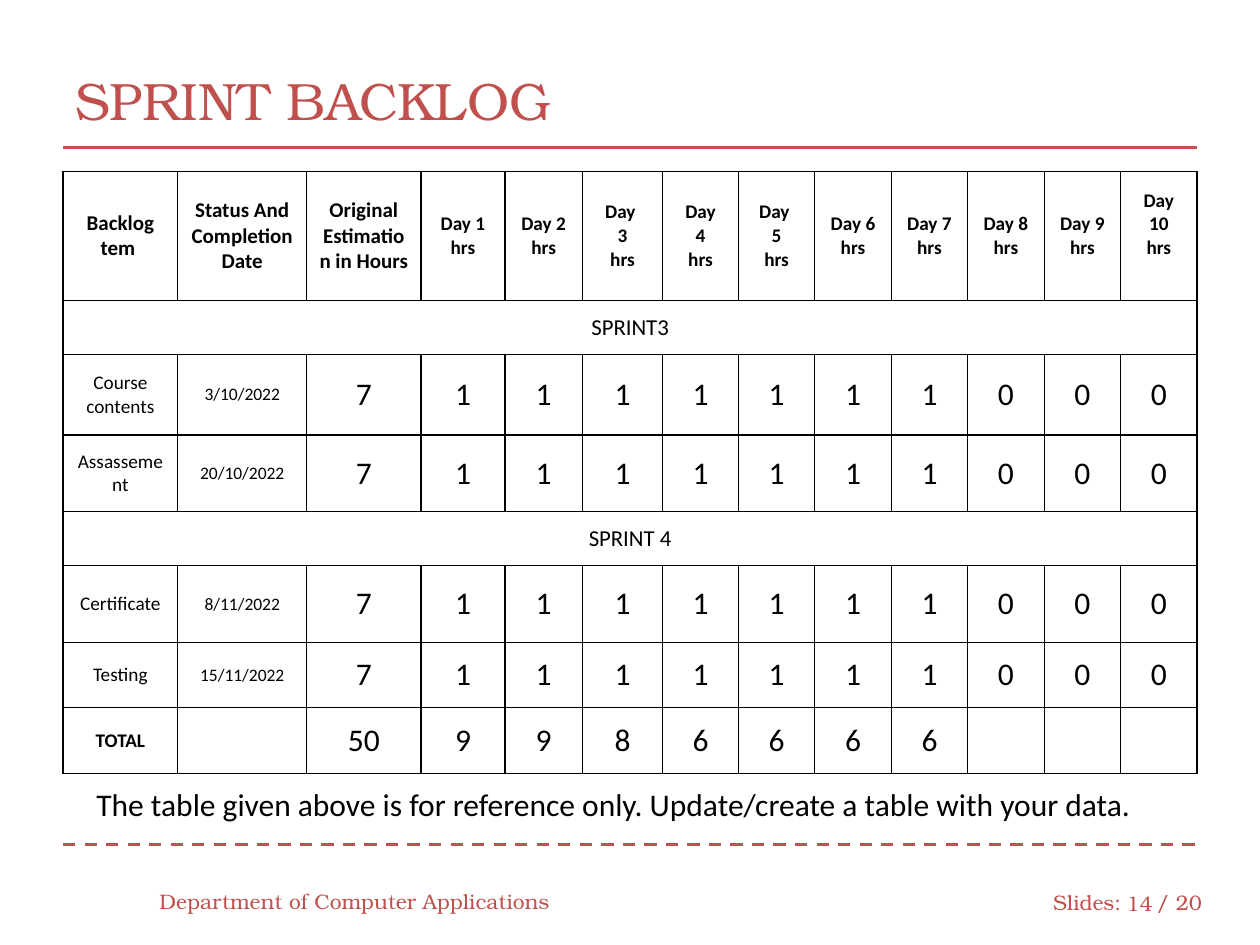
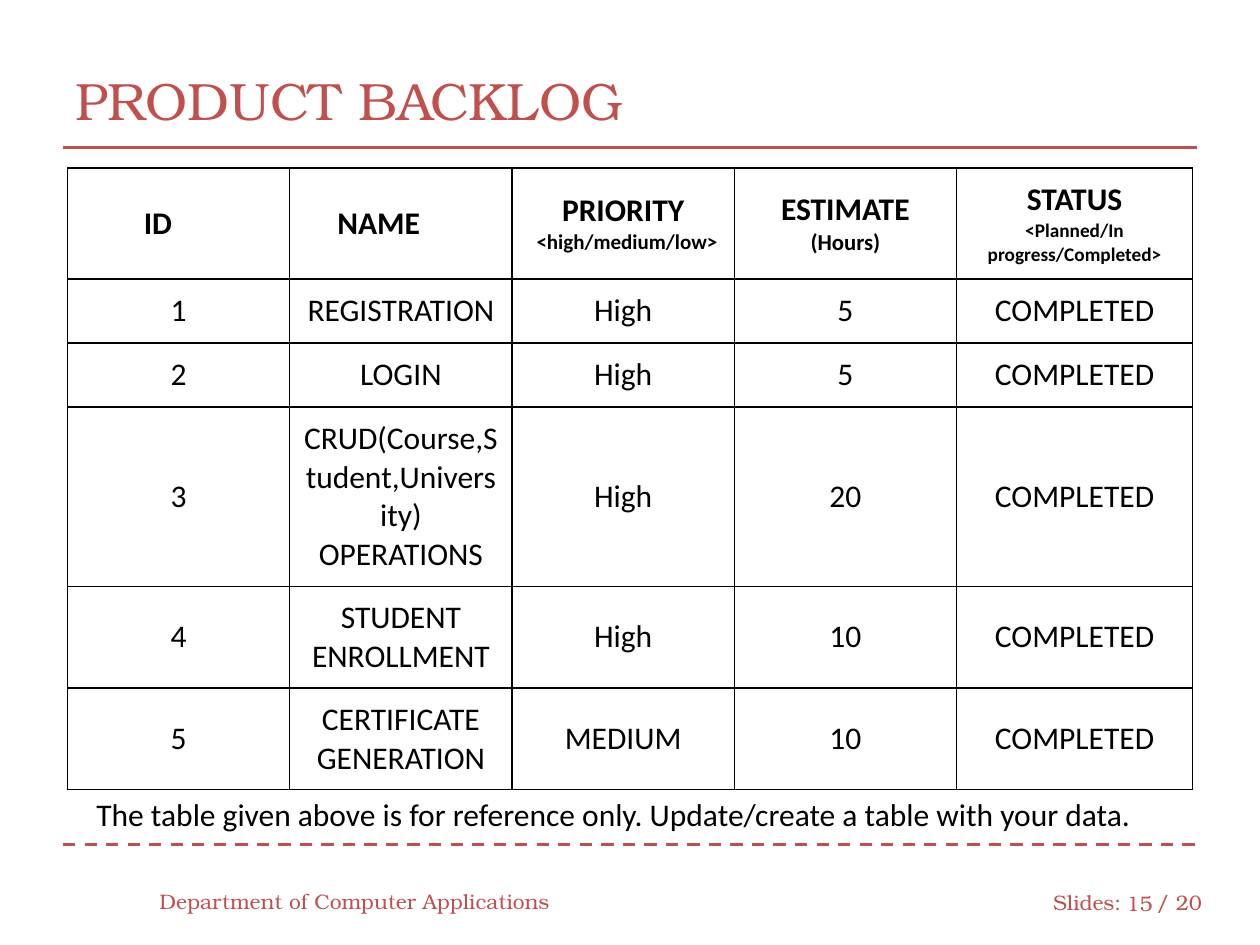
from itertools import accumulate, zip_longest

from lxml.etree import SubElement
from pptx import Presentation
from pptx.dml.color import RGBColor
from pptx.enum.dml import MSO_LINE
from pptx.enum.shapes import MSO_CONNECTOR
from pptx.enum.text import MSO_ANCHOR, PP_ALIGN
from pptx.oxml import parse_xml
from pptx.oxml.ns import nsdecls, qn
from pptx.util import Pt

RED = RGBColor(0xC0, 0x50, 0x4D)
BLACK = RGBColor(0, 0, 0)
WHITE = RGBColor(0xFF, 0xFF, 0xFF)
HEADING_FONT = "TeX Gyre Bonum"
BODY_FONT = "Calibri"

LEFT, RIGHT = 36, 684
TITLE_RULE_Y, FOOTER_RULE_Y = 84.24, 482.4
CELL_MARGIN = 7.2
HEADER_LINE = 13.4

DEPARTMENT = "Department of Computer Applications"
TOTAL_SLIDES = 20
NOTE = ("The table given above is for reference only. "
        "Update/create a table with your data.")

SPRINT_HEADERS = [
    "Backlog tem ", "Status And Completion Date", "Original Estimation in Hours ",
    "Day 1\nhrs", "Day 2\nhrs", "Day \n3\nhrs", "Day\n4\nhrs", "Day \n5\nhrs",
    "Day 6\nhrs", "Day 7\nhrs", "Day 8\nhrs", "Day 9\nhrs", "Day 10\nhrs",
]
DAILY_HOURS = ["7"] + ["1"] * 7 + ["0"] * 3
SPRINT_ROWS = [
    ["SPRINT3"],
    ["Course contents", "3/10/2022", *DAILY_HOURS],
    ["Assassement", "20/10/2022", *DAILY_HOURS],
    ["SPRINT 4"],
    ["Certificate", "8/11/2022", *DAILY_HOURS],
    ["Testing", "15/11/2022", *DAILY_HOURS],
    ["TOTAL", "", "50", "9", "9", "8", "6", "6", "6", "6", "", "", ""],
]
SPRINT_COLUMNS = [65.6, 73.6, 65.4, 48, 44.2, 46, 43.2] + [43.7] * 6
SPRINT_HEIGHTS = [74, 30.8, 46, 43.8, 31, 43.8, 37.4, 37.4]

# text, size of each line, left indent of each line (None is centred)
PRODUCT_HEADERS = [
    ("ID", [18], [36.4]),
    ("NAME", [18], [20]),
    ("PRIORITY\n<high/medium/low>", [18, 12], [None, 6.8]),
    ("ESTIMATE\n(Hours)", [18, 13], [None]),
    ("STATUS\n<Planned/In progress/Completed>", [18, 11], [None]),
]
PRODUCT_ROWS = [
    ["1", "REGISTRATION", "High", "5", "COMPLETED"],
    ["2", "LOGIN", "High", "5", "COMPLETED"],
    ["3", "CRUD(Course,Student,University)\nOPERATIONS", "High", "20", "COMPLETED"],
    ["4", "STUDENT ENROLLMENT", "High", "10", "COMPLETED"],
    ["5", "CERTIFICATE GENERATION", "MEDIUM", "10", "COMPLETED"],
]
PRODUCT_COLUMNS = [127] * 4 + [135]
PRODUCT_HEIGHTS = [63.4, 36.6, 36.6, 102.4, 58.2, 58.2]


def write_text(frame, text, sizes=(18,), font=BODY_FONT, color=BLACK, bold=False,
               align=PP_ALIGN.LEFT, indents=()):
    """Write one paragraph per line; the last size serves all later lines."""
    lines = text.split("\n")
    for index, (line, indent) in enumerate(zip_longest(lines, indents)):
        paragraph = frame.paragraphs[0] if index == 0 else frame.add_paragraph()
        paragraph.alignment = align
        if indent is not None:
            paragraph.alignment = PP_ALIGN.LEFT
            properties = paragraph._p.get_or_add_pPr()
            properties.set("marL", str(Pt(indent)))
            properties.set("indent", "0")
        run = paragraph.add_run()
        run.text = line
        run.font.name = font
        run.font.size = Pt(sizes[min(index, len(sizes) - 1)])
        run.font.bold = bold
        run.font.color.rgb = color


def add_text(slide, box, text, anchor=MSO_ANCHOR.MIDDLE, **text_format):
    frame = slide.shapes.add_textbox(*map(Pt, box)).text_frame
    frame.word_wrap = True
    frame.vertical_anchor = anchor
    write_text(frame, text, **text_format)


def add_rule(slide, y, dash=None):
    rule = slide.shapes.add_connector(
        MSO_CONNECTOR.STRAIGHT, Pt(LEFT), Pt(y), Pt(RIGHT), Pt(y))
    rule.line.color.rgb = RED
    rule.line.width = Pt(1.75)
    if dash:
        rule.line.dash_style = dash
    SubElement(rule._element.spPr, qn("a:effectLst"))


def add_base_slide(presentation, title, number, note_top):
    slide = presentation.slides.add_slide(presentation.slide_layouts[6])
    heading = {"font": HEADING_FONT, "color": RED}
    footer = {**heading, "sizes": [12]}
    add_rule(slide, TITLE_RULE_Y)
    add_rule(slide, FOOTER_RULE_Y, MSO_LINE.DASH)
    add_text(slide, (LEFT, 24, 648, 66), title, sizes=[30], **heading)
    add_text(slide, (84, 500.4, 240, 28.8), DEPARTMENT, **footer)
    add_text(slide, (594.7, 501.1, 54, 28.8), "Slides:", **footer)
    add_text(slide, (635.8, 501.8, 30, 28.8), str(number),
             align=PP_ALIGN.RIGHT, **footer)
    add_text(slide, (653.8, 501.1, 42, 28.8), f"/ {TOTAL_SLIDES}", **footer)
    add_text(slide, (48, note_top, 618, 28.8), NOTE, anchor=MSO_ANCHOR.TOP)
    return slide


def style_cell(cell):
    cell.fill.solid()
    cell.fill.fore_color.rgb = WHITE
    cell.vertical_anchor = MSO_ANCHOR.MIDDLE
    cell.margin_left = cell.margin_right = Pt(CELL_MARGIN)
    cell.margin_top = cell.margin_bottom = Pt(CELL_MARGIN)
    properties = cell._tc.get_or_add_tcPr()
    for index, side in enumerate("LRTB"):
        properties.insert(index, parse_xml(
            f'<a:ln{side} {nsdecls("a")} w="{Pt(0.75)}"><a:solidFill>'
            f'<a:srgbClr val="{BLACK}"/></a:solidFill></a:ln{side}>'))


def add_grid(slide, left, top, widths, heights):
    """Add an empty, bordered table and return it."""
    *_, width = accumulate(widths)
    *_, height = accumulate(heights)
    table = slide.shapes.add_table(
        len(heights), len(widths), Pt(left), Pt(top), Pt(width), Pt(height)).table
    table.first_row = table.horz_banding = False
    for column, column_width in zip(table.columns, widths):
        column.width = Pt(column_width)
    for row, row_height in zip(table.rows, heights):
        row.height = Pt(row_height)
    for cell in table.iter_cells():
        style_cell(cell)
    return table


def fill_cell(cell, text, **text_format):
    if text:
        write_text(cell.text_frame, text, align=PP_ALIGN.CENTER, **text_format)


def build_sprint_backlog(presentation):
    slide = add_base_slide(presentation, "SPRINT BACKLOG", 14, 445)
    table = add_grid(slide, LEFT, 97.8, SPRINT_COLUMNS, SPRINT_HEIGHTS)
    for column, text in enumerate(SPRINT_HEADERS):
        fill_cell(table.cell(0, column), text, sizes=[12 if column < 3 else 11],
                  bold=True)
    last = len(SPRINT_HEADERS) - 1
    table.cell(0, last).margin_bottom = Pt(CELL_MARGIN + HEADER_LINE)
    for row, values in enumerate(SPRINT_ROWS, start=1):
        if len(values) == 1:
            table.cell(row, 0).merge(table.cell(row, last))
            fill_cell(table.cell(row, 0), values[0], sizes=[13])
            continue
        for column, text in enumerate(values):
            size = {0: 11, 1: 10}.get(column, 18)
            fill_cell(table.cell(row, column), text, sizes=[size],
                      bold=text == "TOTAL")


def build_product_backlog(presentation):
    slide = add_base_slide(presentation, "PRODUCT BACKLOG", 15, 450.7)
    table = add_grid(slide, 38.6, 96, PRODUCT_COLUMNS, PRODUCT_HEIGHTS)
    for column, (text, sizes, indents) in enumerate(PRODUCT_HEADERS):
        fill_cell(table.cell(0, column), text, sizes=sizes, indents=indents, bold=True)
    for row, values in enumerate(PRODUCT_ROWS, start=1):
        for column, text in enumerate(values):
            fill_cell(table.cell(row, column), text)


def main():
    presentation = Presentation()
    presentation.slide_width, presentation.slide_height = Pt(720), Pt(540)
    build_sprint_backlog(presentation)
    build_product_backlog(presentation)
    presentation.save("out.pptx")


if __name__ == "__main__":
    main()
